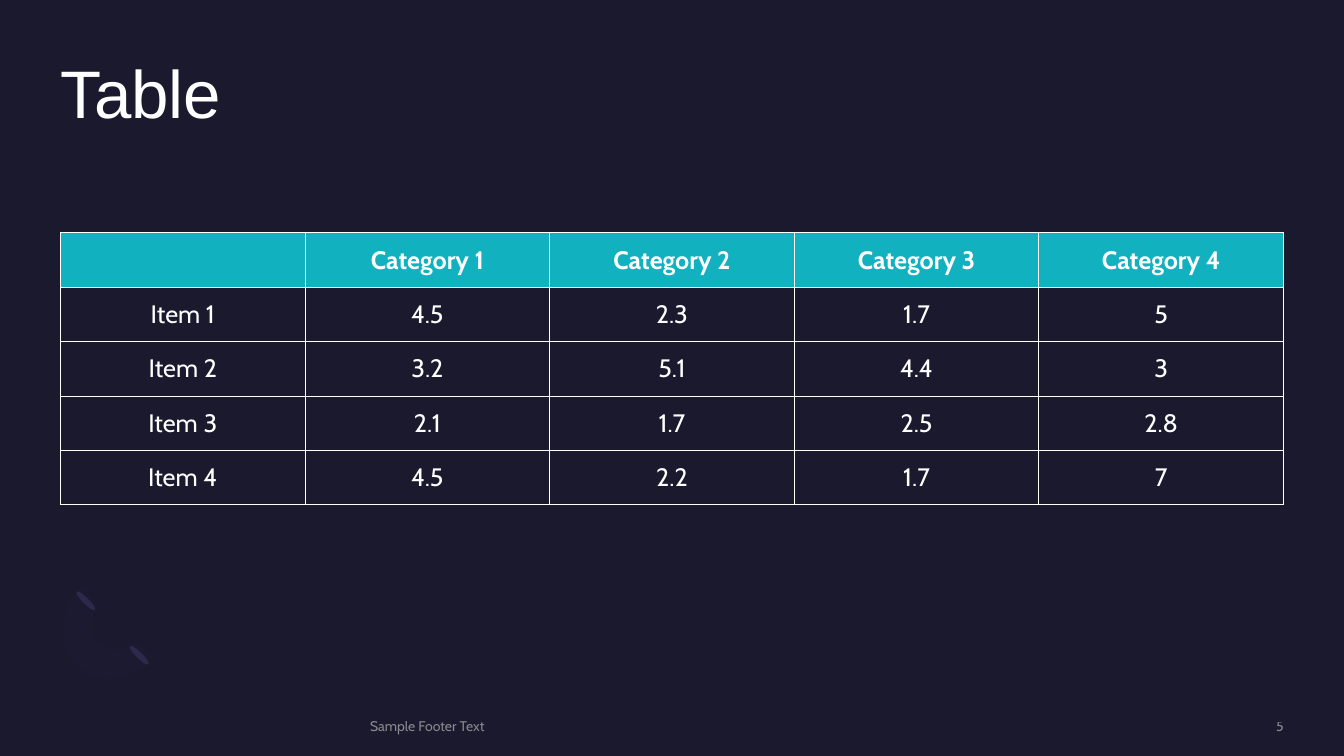
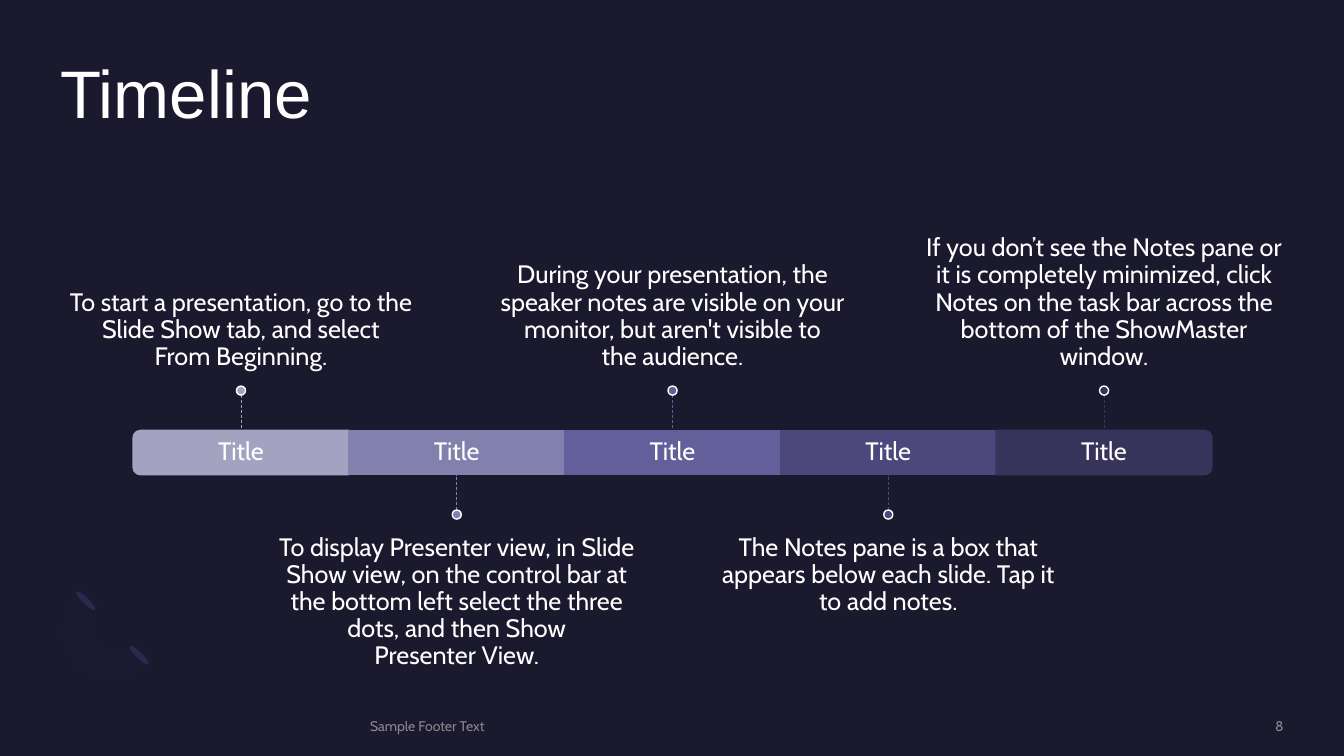
"""Build a table slide and a timeline slide in one dark theme."""
from dataclasses import dataclass

from lxml.etree import SubElement
from pptx import Presentation
from pptx.dml.color import RGBColor
from pptx.enum.dml import MSO_LINE
from pptx.enum.shapes import MSO_CONNECTOR, MSO_SHAPE
from pptx.enum.text import MSO_ANCHOR, PP_ALIGN
from pptx.oxml import parse_xml
from pptx.oxml.ns import nsdecls, qn
from pptx.shapes.autoshape import Shape
from pptx.slide import Slide
from pptx.text.text import TextFrame
from pptx.util import Inches, Pt

NIGHT = RGBColor(0x1B, 0x19, 0x2E)
WHITE = RGBColor(0xFF, 0xFF, 0xFF)
GRAY = RGBColor(0xA6, 0xA6, 0xA6)
TEAL = RGBColor(0x12, 0xB1, 0xBF)
LEAF = RGBColor(0x2C, 0x28, 0x4A)
ARC = RGBColor(0x77, 0x71, 0xB2)
LILAC = RGBColor(0xA3, 0xA3, 0xC1)
MAUVE = RGBColor(0x82, 0x81, 0xAE)
VIOLET = RGBColor(0x62, 0x5F, 0x9A)
PLUM = RGBColor(0x4C, 0x48, 0x7B)
INK = RGBColor(0x37, 0x33, 0x5B)

HEAD = {"name": "Arial", "size": Pt(48), "bold": False}
BODY = {"name": "Cabin", "size": Pt(18), "bold": False}
BOLD = {**BODY, "bold": True}
FOOT = {"name": "Cabin", "size": Pt(10), "bold": False}

EDGE, WIDE = 0.6, 12.13
BAR_X, BAR_Y, BAR_W, BAR_H = 1.32, 4.27, 2.14, 0.44
STEM, DOT = 0.35, 0.09
NOTE_W, NOTE_H = 3.57, 1.52


@dataclass(frozen=True)
class Box:
    """A place on the slide, in inches."""
    x: float
    y: float
    w: float
    h: float

    def spots(self) -> tuple:
        """Give the four lengths that shapes take."""
        return tuple(Inches(v) for v in (self.x, self.y, self.w, self.h))


@dataclass(frozen=True)
class Step:
    """One part of the timeline."""
    note: str
    color: RGBColor
    kind: MSO_SHAPE = MSO_SHAPE.RECTANGLE
    turn: int = 0


ROWS = [
    ["", "Category 1", "Category 2", "Category 3", "Category 4"],
    ["Item 1", "4.5", "2.3", "1.7", "5"],
    ["Item 2", "3.2", "5.1", "4.4", "3"],
    ["Item 3", "2.1", "1.7", "2.5", "2.8"],
    ["Item 4", "4.5", "2.2", "1.7", "7"],
]

STEPS = [
    Step("To start a presentation, go to the Slide Show tab, and select\nFrom Beginning.",
         LILAC, MSO_SHAPE.ROUND_2_SAME_RECTANGLE, 270),
    Step("To display Presenter view, in Slide Show view, on the control bar at the "
         "bottom left select the three dots, and then Show\nPresenter View.", MAUVE),
    Step("During your presentation, the speaker notes are visible on your monitor, "
         "but aren't visible to\nthe audience.", VIOLET),
    Step("The Notes pane is a box that appears below each slide. Tap it to add notes.", PLUM),
    Step("If you don’t see the Notes pane or it is completely minimized, click Notes on "
         "the task bar across the bottom of the ShowMaster window.",
         INK, MSO_SHAPE.ROUND_2_SAME_RECTANGLE, 90),
]

CURVES = [
    [(0.76, 6.59), (0.56, 6.39), (0.58, 6.05), (0.81, 5.82)],
    [(0.99, 6.0), (0.87, 6.11), (0.86, 6.29), (0.96, 6.38)],
    [(0.96, 6.38), (1.06, 6.48), (1.23, 6.47), (1.35, 6.36)],
    [(1.52, 6.54), (1.3, 6.76), (0.95, 6.79), (0.76, 6.59)],
]


def fade(node, share: int) -> None:
    """Make the colours in a node partly clear."""
    for color in list(node.iter(qn("a:srgbClr"))):
        SubElement(color, qn("a:alpha"), val=str(share * 1000))


def write(frame: TextFrame, text: str, style: dict, color: RGBColor = WHITE,
          align: PP_ALIGN = PP_ALIGN.LEFT, space: float = 1.0) -> None:
    """Write one styled paragraph."""
    para = frame.paragraphs[0]
    para.text = text
    para.alignment = align
    para.line_spacing = space
    for run in para.runs:
        for key, value in style.items():
            setattr(run.font, key, value)
        run.font.color.rgb = color


def add_text(slide: Slide, box: Box, text: str, style: dict, color: RGBColor = WHITE,
             align: PP_ALIGN = PP_ALIGN.LEFT, anchor: MSO_ANCHOR = MSO_ANCHOR.MIDDLE,
             space: float = 0.9, top: float = 0, base: float = 0) -> Shape:
    """Add a wrapped text box."""
    shape = slide.shapes.add_textbox(*box.spots())
    frame = shape.text_frame
    form = {"word_wrap": True, "vertical_anchor": anchor, "margin_left": 0,
            "margin_right": 0, "margin_top": Inches(top), "margin_bottom": Inches(base)}
    for key, value in form.items():
        setattr(frame, key, value)
    write(frame, text, style, color, align, space)
    return shape


def paint(shape: Shape, fill: RGBColor, line: RGBColor | None = None) -> None:
    """Set a flat fill and an optional outline."""
    shape.shadow.inherit = False
    shape.fill.solid()
    shape.fill.fore_color.rgb = fill
    if line is None:
        shape.line.fill.background()
    else:
        shape.line.color.rgb = line
        shape.line.width = Pt(1)


def add_shape(slide: Slide, kind: MSO_SHAPE, box: Box, fill: RGBColor,
              line: RGBColor | None = None, turn: int = 0) -> Shape:
    """Add a painted preset shape."""
    shape = slide.shapes.add_shape(kind, *box.spots())
    shape.rotation = turn
    paint(shape, fill, line)
    return shape


def trace(curve: list, count: int = 12) -> list:
    """Give points along a cubic curve."""
    a, b, c, d = curve
    points = []
    for step in range(count + 1):
        t = step / count
        u = 1 - t
        points.append(tuple(
            Inches(u**3 * p + 3 * u * u * t * q + 3 * u * t * t * r + t**3 * s)
            for p, q, r, s in zip(a, b, c, d)))
    return points


def add_arc(slide: Slide) -> None:
    """Draw the faint arc in the corner."""
    points = [point for curve in CURVES for point in trace(curve)]
    form = slide.shapes.build_freeform(*points[0])
    form.add_line_segments(points[1:], close=True)
    arc = form.convert_to_shape()
    paint(arc, ARC)
    fade(arc.fill._xPr, 2)


def add_slide(deck, title: str, page: int) -> Slide:
    """Add a slide with the shared parts."""
    slide = deck.slides.add_slide(deck.slide_layouts[6])
    for x, y in ((1.35, 6.37), (0.82, 5.83)):
        add_shape(slide, MSO_SHAPE.OVAL, Box(x, y, 0.06, 0.26), LEAF, turn=135)
    add_arc(slide)
    add_text(slide, Box(EDGE, 0.6, WIDE, 1.46), title, HEAD, anchor=MSO_ANCHOR.TOP)
    for x, w, text, align in ((3.67, 6.98, "Sample Footer Text", PP_ALIGN.LEFT),
                              (10.88, 1.85, str(page), PP_ALIGN.RIGHT)):
        foot = add_text(slide, Box(x, 7.12, w, 0.17), text, FOOT, GRAY, align, space=1.0)
        fade(foot._element, 80)
    return slide


def rule_cell(cell) -> None:
    """Draw the four borders of a cell."""
    props = cell._tc.get_or_add_tcPr()
    for place, side in enumerate("LRTB"):
        props.insert(place, parse_xml(
            f'<a:ln{side} {nsdecls("a")} w="{Pt(0.75)}"><a:solidFill>'
            f'<a:srgbClr val="{WHITE}"/></a:solidFill></a:ln{side}>'))


def add_grid(slide: Slide) -> None:
    """Add the table of items."""
    box = Box(EDGE, 2.31, WIDE, 2.7)
    table = slide.shapes.add_table(len(ROWS), len(ROWS[0]), *box.spots()).table
    table.horz_banding = False
    for i, row in enumerate(ROWS):
        for j, text in enumerate(row):
            cell = table.cell(i, j)
            cell.vertical_anchor = MSO_ANCHOR.MIDDLE
            write(cell.text_frame, text, BODY if i else BOLD, align=PP_ALIGN.CENTER)
            if i:
                cell.fill.background()
            else:
                cell.fill.solid()
                cell.fill.fore_color.rgb = TEAL
            rule_cell(cell)


def add_bar(slide: Slide, step: Step, mid: float) -> Shape:
    """Add one titled part of the bar."""
    box = Box(mid - BAR_W / 2, BAR_Y, BAR_W, BAR_H)
    place = box
    if step.turn:
        place = Box(mid - BAR_H / 2, BAR_Y + (BAR_H - BAR_W) / 2, BAR_H, BAR_W)
    bar = add_shape(slide, step.kind, place, step.color, step.color, step.turn)
    add_text(slide, box, "Title", BODY, align=PP_ALIGN.CENTER)
    return bar


def add_step(slide: Slide, step: Step, rank: int) -> None:
    """Add a bar part with its stem, dot and note."""
    mid = BAR_X + BAR_W * (rank + 0.5)
    above = rank % 2 == 0
    near = BAR_Y if above else BAR_Y + BAR_H
    far = near - STEM if above else near + STEM
    bar = add_bar(slide, step, mid)

    stem = slide.shapes.add_connector(
        MSO_CONNECTOR.STRAIGHT, Inches(mid), Inches(far), Inches(mid), Inches(near))
    for key, value in {"width": Pt(0.5), "dash_style": MSO_LINE.DASH}.items():
        setattr(stem.line, key, value)
    stem.line.color.rgb = step.color
    SubElement(stem._element.spPr, qn("a:effectLst"))
    if not step.turn:
        stem.end_connect(bar, 0 if above else 2)

    top = far - DOT if above else far
    add_shape(slide, MSO_SHAPE.OVAL, Box(mid - DOT / 2, top, DOT, DOT), step.color, WHITE)
    note_y = top - NOTE_H if above else top + DOT
    add_text(slide, Box(mid - NOTE_W / 2, note_y, NOTE_W, NOTE_H), step.note, BODY,
             align=PP_ALIGN.CENTER, anchor=MSO_ANCHOR.BOTTOM if above else MSO_ANCHOR.TOP,
             top=0 if above else 0.15, base=0.15 if above else 0)


def main() -> None:
    """Build and save the deck."""
    deck = Presentation()
    deck.slide_width, deck.slide_height = Inches(13.33), Inches(7.5)
    back = deck.slide_master.background.fill
    back.solid()
    back.fore_color.rgb = NIGHT
    add_grid(add_slide(deck, "Table", 5))
    line = add_slide(deck, "Timeline", 8)
    for rank, step in enumerate(STEPS):
        add_step(line, step, rank)
    deck.save("out.pptx")


if __name__ == "__main__":
    main()
